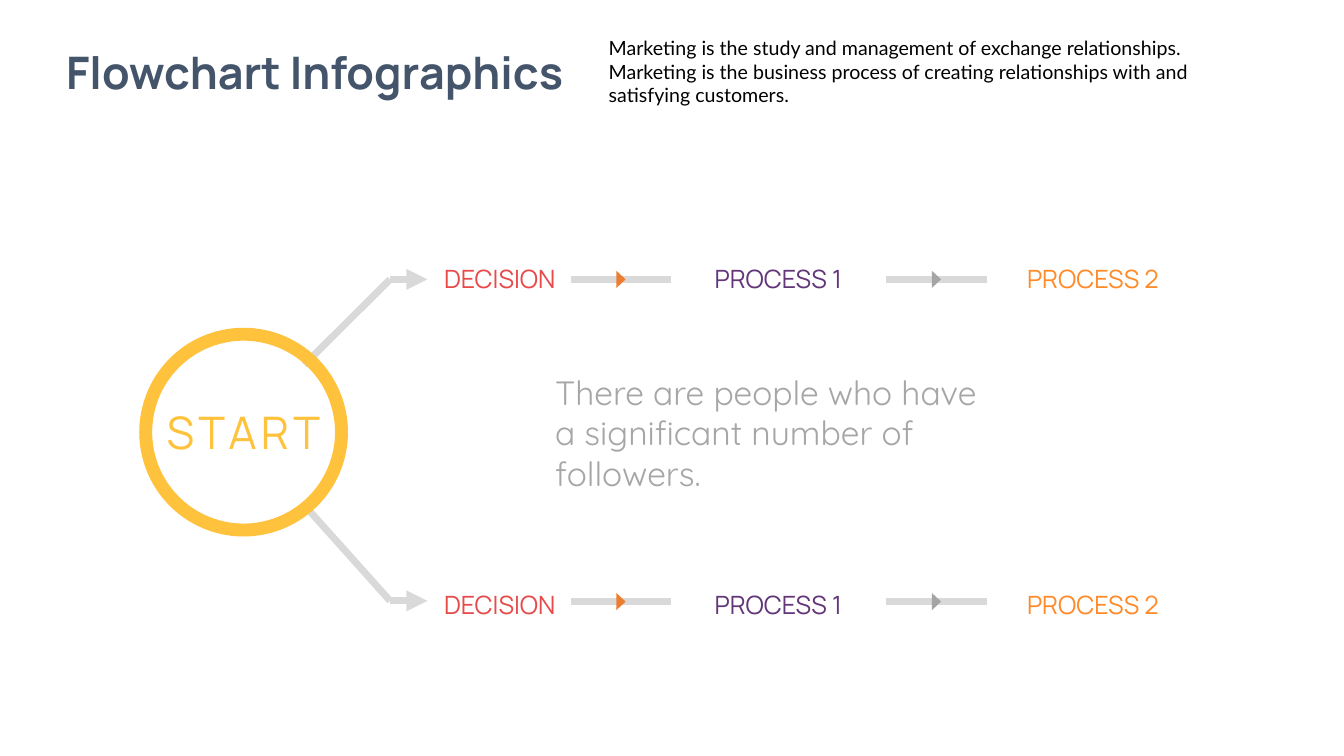
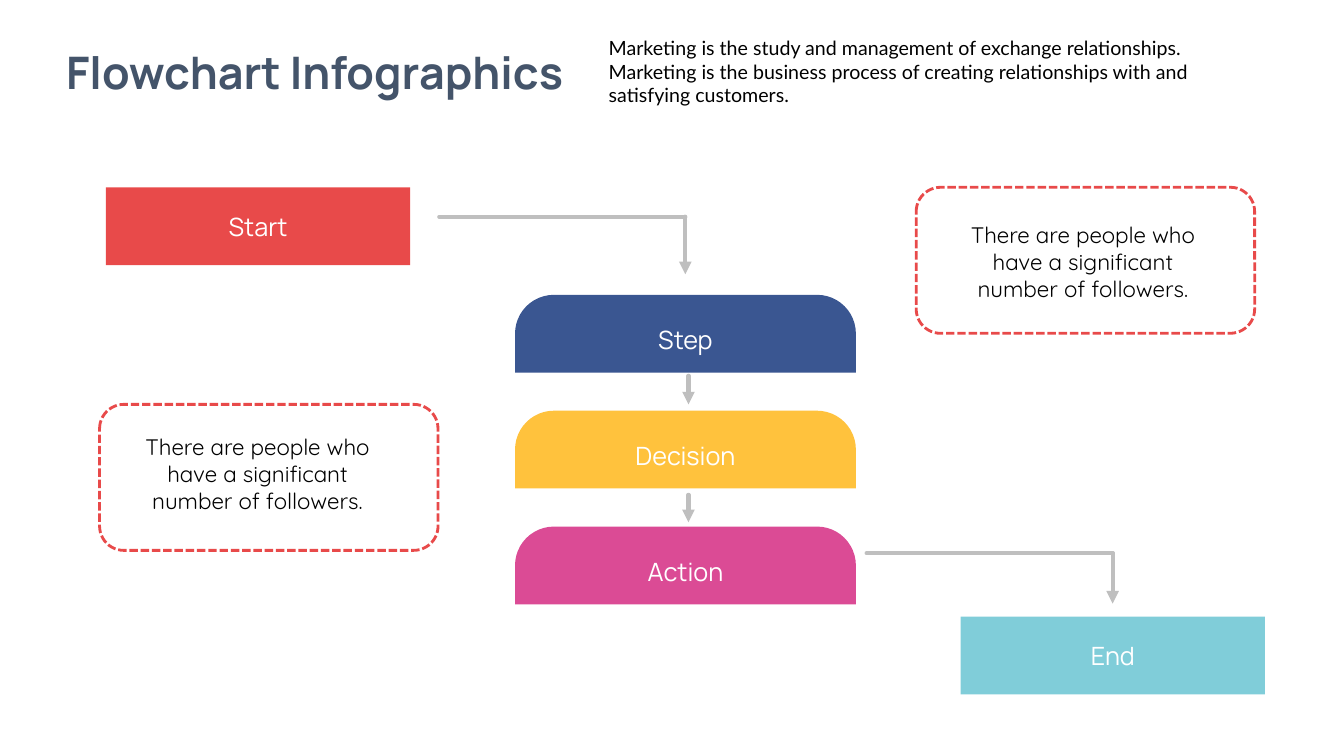
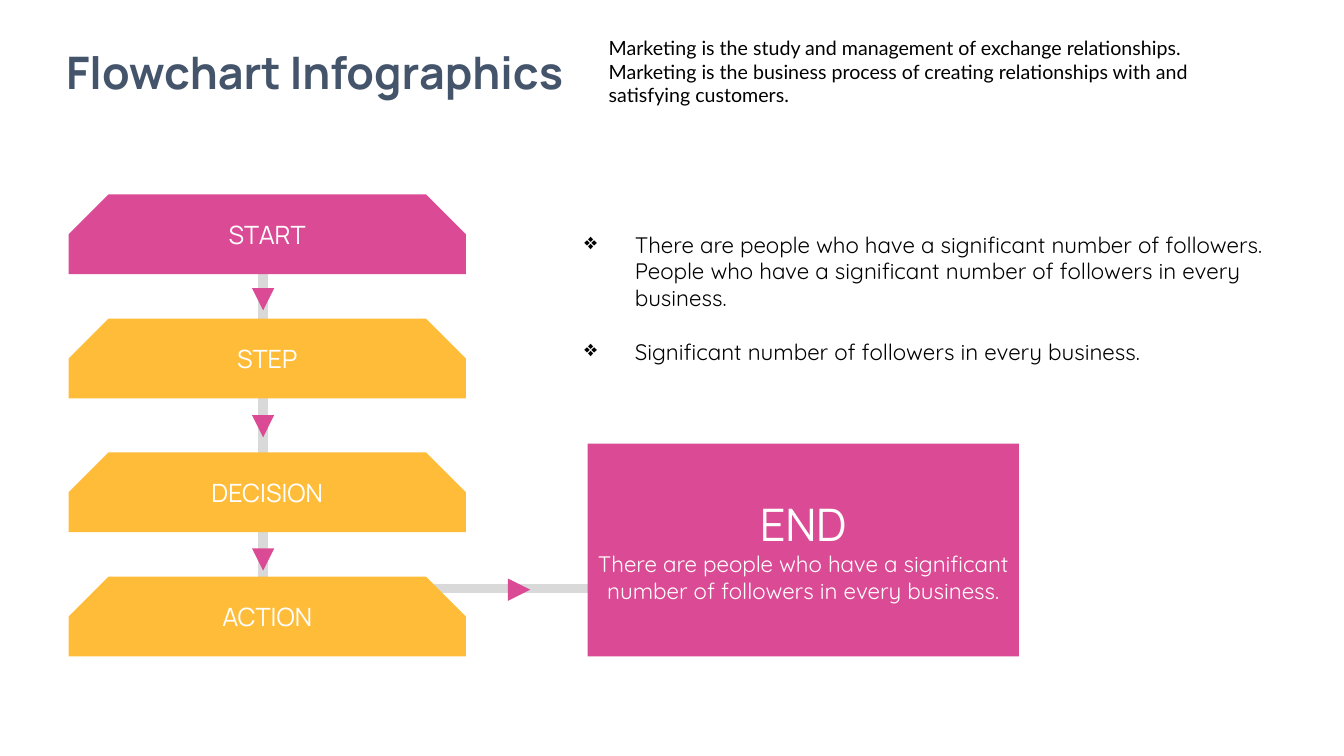
from itertools import pairwise

from lxml.etree import SubElement
from pptx import Presentation
from pptx.dml.color import RGBColor
from pptx.enum.dml import MSO_LINE
from pptx.enum.shapes import MSO_CONNECTOR, MSO_SHAPE as SHAPE
from pptx.enum.text import MSO_ANCHOR as ANCHOR, PP_ALIGN as ALIGN
from pptx.oxml.ns import qn
from pptx.util import Cm, Pt

HEADING, BODY, INTRO = "Manrope", "Quicksand", "Lato"
RED, YELLOW, AMBER, PINK = "E84A4A", "FFC23D", "FFBC38", "DB4B95"
WHITE, BLACK, SLATE = "FFFFFF", "000000", "44546A"
PALE, SILVER, MID_GREY = "D9D9D9", "BFBFBF", "A6A6A6"

TITLE = "Flowchart Infographics"
INTRO_TEXT = (
    "Marketing is the study and management of exchange relationships. "
    "Marketing is the business process of creating relationships with and "
    "satisfying customers."
)
FOLLOWERS = "There are people who have a significant number of followers."

BRANCHES = [
    [(7.67, 9.19), (9.83, 7.04), (10.77, 7.04)],
    [(7.67, 12.73), (9.83, 15.14), (10.77, 15.14)],
]
ROWS = [(7.04, 6.63), (15.16, 14.86)]
STAGES = [
    ("DECISION", 10.46, 4.27, RED),
    ("PROCESS 1", 17.8, 3.63, "623678"),
    ("PROCESS 2", 25.73, 3.63, "FF8A29"),
]
LINKS = [(14.38, "ED7D31"), (22.33, "A5A5A5")]
LINK_LENGTH, MARK_WIDTH, MARK_HEIGHT = 2.54, 0.43, 0.23

ENDS = [("Start", 2.67, 4.72, RED), ("End", 24.21, 15.54, "80CDD9")]
STEPS = [("Step", "3A5691"), ("Decision", YELLOW), ("Action", PINK)]
STEP_TOP, STEP_PITCH = 7.43, 2.92
CALLOUTS = [((23.09, 4.72), (23.9, 5.46)), ((2.51, 10.19), (3.1, 10.8))]
ROUTES = [
    [(11.07, 5.46), (17.27, 5.46), (17.27, 6.91)],
    [(17.35, 9.47), (17.35, 10.19)],
    [(17.35, 12.47), (17.35, 13.16)],
    [(21.84, 13.94), (28.04, 13.94), (28.04, 15.21)],
]

TRUNK = [(6.63, 5.84), (6.63, 14.83), (15.6, 14.83)]
BLOCKS = [
    ("START", 4.9, PINK),
    ("STEP", 8.03, AMBER),
    ("DECISION", 11.4, AMBER),
    ("ACTION", 14.53, AMBER),
]
POINTERS = [
    (6.35, 7.26, 180),
    (6.35, 10.46, 180),
    (6.35, 13.82, 180),
    (12.8, 14.58, 90),
]
NOTES = [
    FOLLOWERS + " People who have a significant number of followers in every business.",
    "Significant number of followers in every business.",
]
END_TEXT = "There are people who have a significant number of followers in every business."


def rgb(value):
    return RGBColor.from_string(value)


def write(frame, lines, align=ALIGN.CENTER, anchor=ANCHOR.TOP):
    frame.word_wrap = True
    frame.vertical_anchor = anchor
    for index, (text, size, font, color) in enumerate(lines):
        paragraph = frame.paragraphs[0] if index == 0 else frame.add_paragraph()
        paragraph.text = text
        paragraph.alignment = align
        paragraph.font.size = Pt(size)
        paragraph.font.name = font
        paragraph.font.color.rgb = rgb(color)
    return frame.paragraphs


def add_text(slide, box, *lines, align=ALIGN.CENTER, inset=True):
    frame = slide.shapes.add_textbox(*map(Cm, box)).text_frame
    if not inset:
        frame.margin_left = frame.margin_right = 0
        frame.margin_top = frame.margin_bottom = 0
    return write(frame, lines, align)


def add_shape(slide, kind, box, fill=None, adjust=(), turn=0):
    shape = slide.shapes.add_shape(kind, *map(Cm, box))
    shape.shadow.inherit = False
    shape.line.fill.background()
    if fill:
        shape.fill.solid()
        shape.fill.fore_color.rgb = rgb(fill)
    else:
        shape.fill.background()
    for index, value in enumerate(adjust):
        shape.adjustments[index] = value
    shape.rotation = turn
    return shape


def add_route(slide, points, color, width, arrow=False, cap="flat"):
    for start, end in pairwise(points):
        line = slide.shapes.add_connector(MSO_CONNECTOR.STRAIGHT, *map(Cm, start + end))
        line.line.color.rgb = rgb(color)
        line.line.width = Pt(width)
        outline = line.line._get_or_add_ln()
        outline.set("cap", cap)
        if arrow and end == points[-1]:
            SubElement(outline, qn("a:tailEnd"), type="triangle")
        SubElement(line._element.spPr, qn("a:effectLst"))


def add_header(slide):
    title = add_text(slide, (0.8, 1, 14.27, 1.63), (TITLE, 32, HEADING, SLATE))
    title[0].font.bold = True
    add_text(slide, (15.09, 0.79, 16, 2.06), (INTRO_TEXT, 14, INTRO, BLACK), align=ALIGN.LEFT)


def build_branches(slide):
    for branch in BRANCHES:
        add_route(slide, branch, PALE, 5, arrow=True)
    for axis, label_top in ROWS:
        for left, color in LINKS:
            add_route(slide, [(left, axis), (left + LINK_LENGTH, axis)], PALE, 5)
            mark = (left + (LINK_LENGTH - MARK_WIDTH) / 2, axis - MARK_HEIGHT / 2,
                    MARK_WIDTH, MARK_HEIGHT)
            add_shape(slide, SHAPE.ISOSCELES_TRIANGLE, mark, color, turn=90)
        for label, left, width, color in STAGES:
            add_text(slide, (left, label_top, width, 0.76), (label, 18, HEADING, color), inset=False)
    start = add_text(slide, (3.86, 10.19, 4.55, 1.37), ("START", 32, HEADING, YELLOW), inset=False)
    start[0].runs[0].font._element.set("spc", "300")
    add_text(slide, (13.74, 9.25, 11.73, 3.33), (FOLLOWERS, 24, BODY, MID_GREY), align=ALIGN.LEFT)
    add_shape(slide, SHAPE.DONUT, (3.51, 8.26, 5.26, 5.26), YELLOW, [0.062])


def build_steps(slide):
    for (left, top), text_corner in CALLOUTS:
        add_text(slide, (*text_corner, 6.78, 2.31), (FOLLOWERS, 16, BODY, BLACK))
        frame = add_shape(slide, SHAPE.ROUNDED_RECTANGLE, (left, top, 8.53, 3.68))
        frame.line.color.rgb = rgb(RED)
        frame.line.width = Pt(2)
        frame.line.dash_style = MSO_LINE.SQUARE_DOT
    for label, left, top, color in ENDS:
        end = add_shape(slide, SHAPE.RECTANGLE, (left, top, 7.67, 1.96), color)
        write(end.text_frame, [(label, 18, HEADING, WHITE)], anchor=ANCHOR.MIDDLE)
    for index, (label, color) in enumerate(STEPS):
        box = (12.98, STEP_TOP + index * STEP_PITCH, 8.59, 1.96)
        step = add_shape(slide, SHAPE.ROUND_2_SAME_RECTANGLE, box, color, [0.5, 0])
        write(step.text_frame, [(label, 18, HEADING, WHITE)], anchor=ANCHOR.MIDDLE)
    for route in ROUTES:
        add_route(slide, route, SILVER, 3, arrow=True, cap="rnd")


def build_trunk(slide):
    add_route(slide, TRUNK, PALE, 7)
    notes = add_text(slide, (14.48, 5.69, 18.19, 3.68),
                     *[(note, 16, BODY, BLACK) for note in NOTES], align=ALIGN.LEFT)
    for note in notes:
        properties = note._p.get_or_add_pPr()
        properties.set("marL", str(Cm(1.27)))
        properties.set("indent", str(-Cm(1.27)))
        bullet = properties.makeelement(qn("a:buChar"), {"char": "❖"})
        properties.insert_element_before(bullet, "a:tabLst", "a:defRPr", "a:extLst")
    notes[1].space_before = Pt(19)
    for label, top, color in BLOCKS:
        block = add_shape(slide, SHAPE.SNIP_2_SAME_RECTANGLE, (1.73, top, 10.01, 2.01), color, [0.5, 0])
        write(block.text_frame, [(label, 18, HEADING, WHITE)])
    end = add_shape(slide, SHAPE.RECTANGLE, (14.81, 11.18, 10.87, 5.36), PINK)
    write(end.text_frame, [("END", 32, HEADING, WHITE), (END_TEXT, 16, BODY, WHITE)],
          anchor=ANCHOR.MIDDLE)
    for left, top, turn in POINTERS:
        add_shape(slide, SHAPE.FLOWCHART_EXTRACT, (left, top, 0.56, 0.56), PINK, turn=turn)


def main():
    deck = Presentation()
    deck.slide_width, deck.slide_height = Cm(33.87), Cm(19.05)
    for build in (build_branches, build_steps, build_trunk):
        slide = deck.slides.add_slide(deck.slide_layouts[6])
        add_header(slide)
        build(slide)
    deck.save("out.pptx")


if __name__ == "__main__":
    main()
